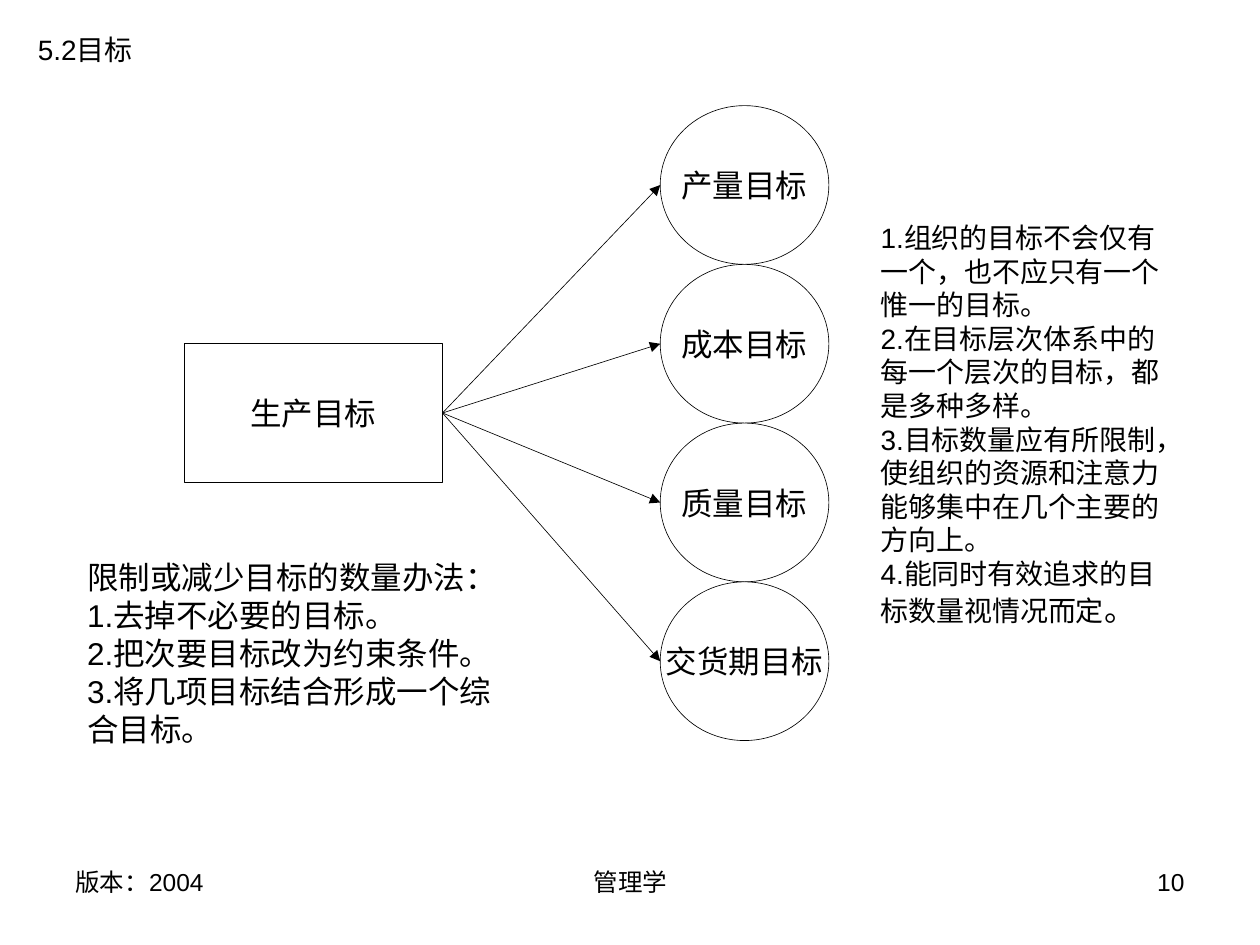
import pptx
import pptx.util
import pptx.dml.color
import pptx.enum.shapes
import pptx.enum.text
import pptx.oxml.ns
import lxml.etree

Cm = pptx.util.Cm
Pt = pptx.util.Pt
ALIGN = pptx.enum.text.PP_ALIGN
ANCHOR = pptx.enum.text.MSO_ANCHOR
SHAPE = pptx.enum.shapes.MSO_SHAPE

# Content: each paragraph is a list of (text, size) runs
TITLE = [[("5.2目标", 16)]]
SOURCE_GOAL = "生产目标"
GOALS = ["产量目标", "成本目标", "质量目标", "交货期目标"]
METHODS = [
    [("限制或减少目标的数量办法：", 18)],
    [("1.去掉不必要的目标。", 18)],
    [("2.把次要目标改为约束条件。", 18)],
    [("3.将几项目标结合形成一个综合目标。", 18)],
]
PRINCIPLES = [
    [("1.组织的目标不会仅有一个，也不应只有一个惟一的目标。", 16)],
    [("2.在目标层次体系中的每一个层次的目标，都是多种多样。", 16)],
    [("3.目标数量应有所限制，使组织的资源和注意力能够集中在几个主要的方向上。", 16)],
    [("4.能同时有效追求的目标数量视情况而定", 16), ("。", 18)],
]
# Footer: text, left, width, alignment
FOOTER = [
    ("版本：2004", 1.27, 5.92, ALIGN.LEFT),
    ("管理学", 8.69, 8.05, ALIGN.CENTER),
    ("10", 18.21, 5.92, ALIGN.RIGHT),
]

# Look and layout in centimetres
COLORS = {"ink": "000000", "paper": "FFFFFF"}
FONT = "Arial"
LINE_WIDTH = Pt(0.37)
SOURCE_BOX = (3.71, 6.93, 5.21, 2.79)
GOAL_LEFT, GOAL_TOP, GOAL_WIDTH, GOAL_HEIGHT = 13.31, 2.13, 3.4, 3.2


def color(name):
    return pptx.dml.color.RGBColor.from_string(COLORS[name])


def write(shape, paragraphs, align=ALIGN.LEFT, anchor=ANCHOR.TOP, wrap=True):
    frame = shape.text_frame
    frame.auto_size = pptx.enum.text.MSO_AUTO_SIZE.NONE
    frame.word_wrap = wrap
    frame.vertical_anchor = anchor
    for index, spans in enumerate(paragraphs):
        para = frame.paragraphs[0] if index == 0 else frame.add_paragraph()
        para.alignment = align
        para.space_before = Pt(0)
        for text, size in spans:
            span = para.add_run()
            span.text = text
            span.font.name = FONT
            span.font.size = Pt(size)
            span.font.color.rgb = color("ink")


def fill_placeholder(shape, place, paragraphs, wrap=True):
    shape.left, shape.top, shape.width, shape.height = map(Cm, place)
    write(shape, paragraphs, wrap=wrap)
    # Numbers are typed in the text, so bullets and indents go
    for para in shape.text_frame.paragraphs:
        properties = para._p.get_or_add_pPr()
        properties.set("marL", "0")
        properties.set("indent", "0")
        lxml.etree.SubElement(properties, pptx.oxml.ns.qn("a:buNone"))


def add_goal(page, kind, place, text):
    shape = page.shapes.add_shape(kind, *map(Cm, place))
    shape.shadow.inherit = False
    shape.fill.solid()
    shape.fill.fore_color.rgb = color("paper")
    shape.line.color.rgb = color("ink")
    shape.line.width = LINE_WIDTH
    write(shape, [[(text, 18)]], ALIGN.CENTER, ANCHOR.MIDDLE, wrap=False)
    return shape


def add_arrow(page, source, target):
    middle = target.top + target.height // 2
    arrow = page.shapes.add_connector(
        pptx.enum.shapes.MSO_CONNECTOR.STRAIGHT,
        source.left + source.width, source.top + source.height // 2,
        target.left, middle)
    arrow.begin_connect(source, 3)
    arrow.line.color.rgb = color("ink")
    arrow.line.width = LINE_WIDTH
    line = arrow.line._get_or_add_ln()
    lxml.etree.SubElement(line, pptx.oxml.ns.qn("a:tailEnd"), type="triangle")
    lxml.etree.SubElement(arrow._element.spPr, pptx.oxml.ns.qn("a:effectLst"))


def main():
    deck = pptx.Presentation()
    deck.slide_width, deck.slide_height = Cm(25.4), Cm(19.05)
    page = deck.slides.add_slide(deck.slide_layouts.get_by_name("Two Content"))

    # Title and the two lists
    fill_placeholder(page.shapes.title, (0.51, 0.53, 2.59, 0.94), TITLE, wrap=False)
    fill_placeholder(page.placeholders[1], (1.5, 11.13, 9.19, 4.06), METHODS)
    fill_placeholder(page.placeholders[2], (17.5, 4.32, 6.6, 8.48), PRINCIPLES)

    # Source goal, stacked goals and the arrows between them
    source = add_goal(page, SHAPE.RECTANGLE, SOURCE_BOX, SOURCE_GOAL)
    for index, text in enumerate(GOALS):
        place = (GOAL_LEFT, GOAL_TOP + index * GOAL_HEIGHT, GOAL_WIDTH, GOAL_HEIGHT)
        add_arrow(page, source, add_goal(page, SHAPE.OVAL, place, text))

    # Footer
    for text, left, width, align in FOOTER:
        box = page.shapes.add_textbox(Cm(left), Cm(17.35), Cm(width), Cm(1.32))
        write(box, [[(text, 14)]], align)

    deck.save("out.pptx")


if __name__ == "__main__":
    main()
